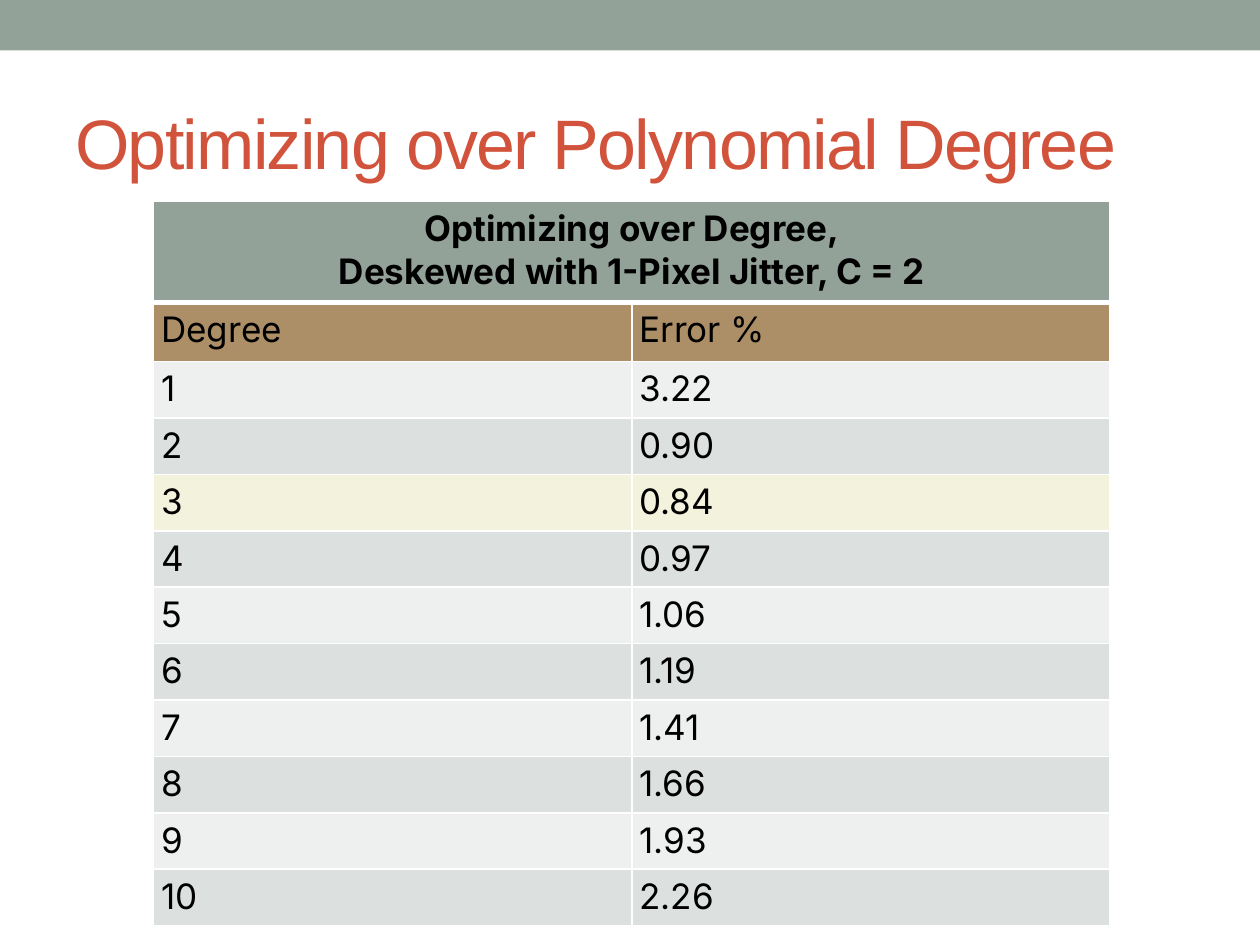
from dataclasses import dataclass

from lxml.etree import SubElement
from pptx import Presentation
from pptx.dml.color import RGBColor
from pptx.enum.shapes import MSO_SHAPE as SHAPE
from pptx.enum.text import MSO_ANCHOR as ANCHOR, PP_ALIGN as ALIGN
from pptx.oxml.ns import qn
from pptx.util import Inches, Pt

SAGE, RUST, TAN = "93A299", "D2533C", "AD8F67"
LIGHT, GREY, CREAM = "EEF0EF", "DCE0DE", "F3F2DC"
BLACK, WHITE = "000000", "FFFFFF"
BEST_DEGREE = 3
ERRORS = ["3.22", "0.90", "0.84", "0.97", "1.06", "1.19", "1.41", "1.66", "1.93", "2.26"]
TABLE_W, TABLE_H = 7.59, 5.75
HEADING_H, LABELS_H = 0.8, 0.47


@dataclass
class Row:
    texts: list[str]
    fill: str
    height: float
    heading: bool = False


def color(value: str) -> RGBColor:
    return RGBColor.from_string(value)


def style_text(tf, font: str, size: float, ink: str, bold: bool = False) -> None:
    for p in tf.paragraphs:
        for r in p.runs:
            r.font.name = font
            r.font.size = Pt(size)
            r.font.bold = bold
            r.font.color.rgb = color(ink)


def add_border(cell, side: str, width: float) -> None:
    tc_pr = cell._tc.get_or_add_tcPr()
    ln = SubElement(tc_pr, qn(f"a:ln{side}"), w=str(int(Pt(width))))
    fill = SubElement(ln, qn("a:solidFill"))
    SubElement(fill, qn("a:srgbClr"), val=WHITE)


def fill_cell(cell, text: str, row: Row, top: float, bottom: float) -> None:
    for side, width in (("L", 1), ("R", 1), ("T", top), ("B", bottom)):
        add_border(cell, side, width)
    cell.fill.solid()
    cell.fill.fore_color.rgb = color(row.fill)
    cell.margin_left = cell.margin_right = Inches(0.06)
    cell.margin_top = cell.margin_bottom = Inches(0.05)
    cell.text_frame.text = text
    style_text(cell.text_frame, "Inter", 20, BLACK, row.heading)
    for p in cell.text_frame.paragraphs:
        p.alignment = ALIGN.CENTER if row.heading else ALIGN.LEFT


def row_fill(degree: int) -> str:
    if degree == BEST_DEGREE:
        return CREAM
    return LIGHT if degree % 2 else GREY


def add_error_table(s, rows: list[Row]) -> None:
    frame = s.shapes.add_table(len(rows), 2, Inches(1.22), Inches(1.6),
                               Inches(TABLE_W), Inches(TABLE_H))
    table = frame.table
    table.cell(0, 0).merge(table.cell(0, 1))
    for i, row in enumerate(rows):
        table.rows[i].height = Inches(row.height)
        top = 3 if i and rows[i - 1].heading else 1
        bottom = 3 if row.heading else 1
        for j, text in enumerate(row.texts):
            fill_cell(table.cell(i, j), text, row, top, bottom)


prs = Presentation()
prs.slide_width, prs.slide_height = Inches(10), Inches(7.5)
s = prs.slides.add_slide(prs.slide_layouts[6])

band = s.shapes.add_shape(SHAPE.RECTANGLE, 0, 0, Inches(10), Inches(0.4))
band.shadow.inherit = False
band.fill.solid()
band.fill.fore_color.rgb = color(SAGE)
band.line.fill.background()

title = s.shapes.add_textbox(Inches(0.5), Inches(0.58), Inches(9), Inches(1.08))
tf = title.text_frame
tf.word_wrap = True
tf.vertical_anchor = ANCHOR.MIDDLE
tf.text = "Optimizing over Polynomial Degree"
style_text(tf, "Arial", 40, RUST)
tf.paragraphs[0].runs[0].font._element.set("spc", "-100")

row_h = (TABLE_H - HEADING_H - LABELS_H) / len(ERRORS)
heading = "Optimizing over Degree,\nDeskewed with 1-Pixel Jitter, C = 2"
rows = [Row([heading, ""], SAGE, HEADING_H, True), Row(["Degree", "Error %"], TAN, LABELS_H)]
rows += [Row([str(degree), error], row_fill(degree), row_h)
         for degree, error in enumerate(ERRORS, 1)]
add_error_table(s, rows)

prs.save("out.pptx")
